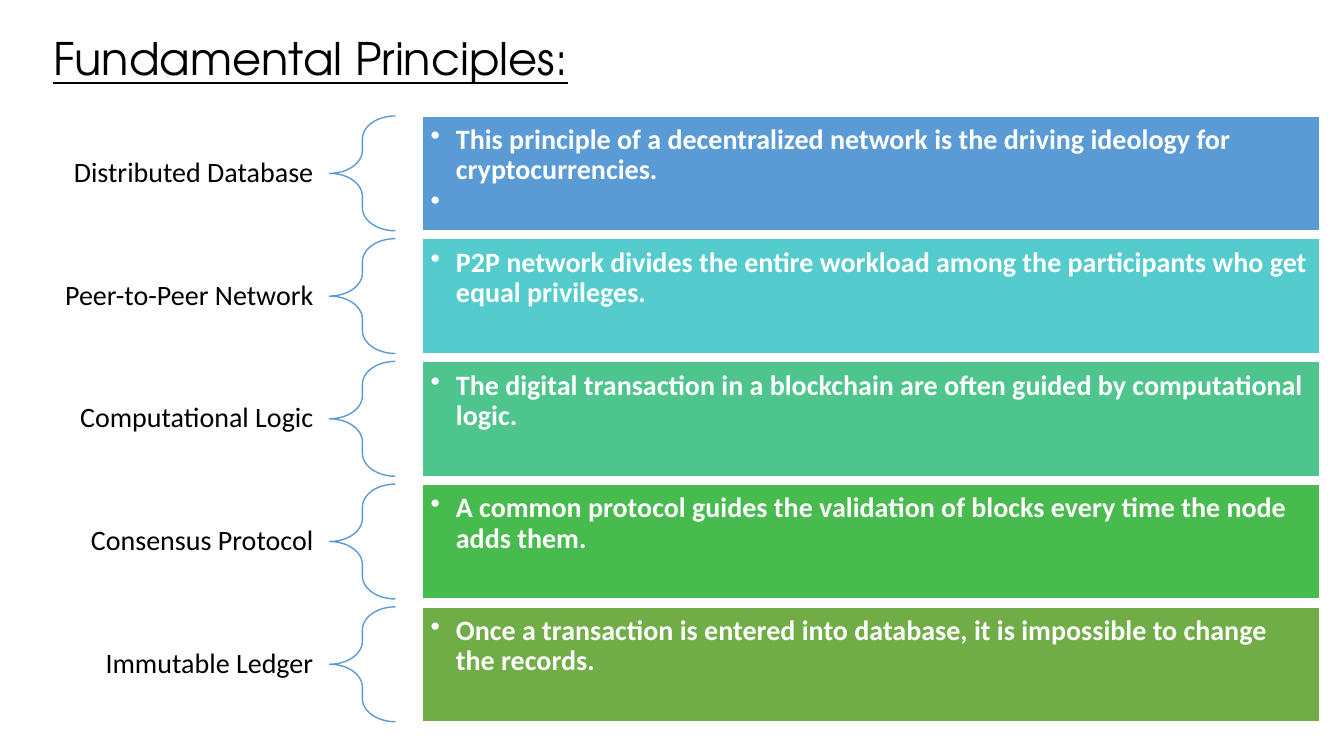
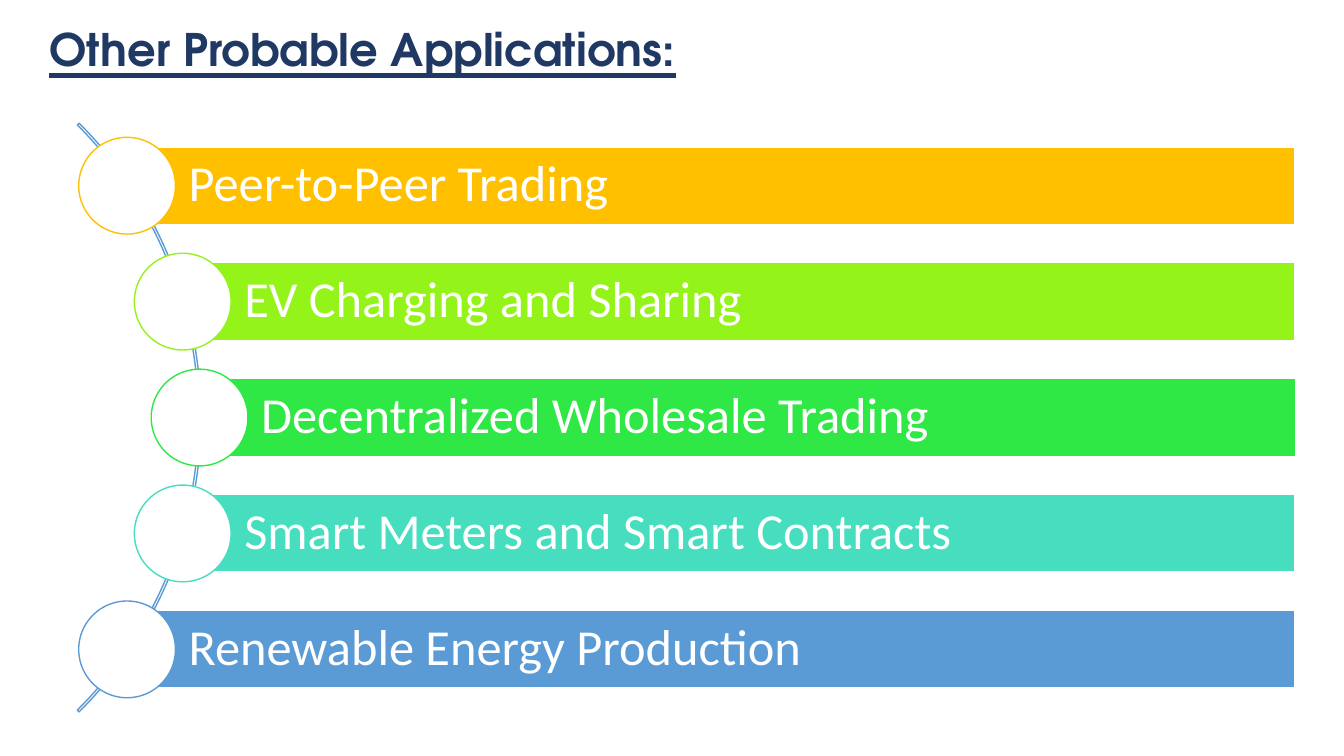
from dataclasses import dataclass
from math import sqrt

from lxml import etree
from pptx import Presentation
from pptx.dml.color import RGBColor
from pptx.enum.shapes import MSO_SHAPE
from pptx.enum.text import MSO_ANCHOR, PP_ALIGN
from pptx.oxml.ns import qn
from pptx.util import Pt

RECTANGLE, OVAL = MSO_SHAPE.RECTANGLE, MSO_SHAPE.OVAL
LEFT_BRACE, BLOCK_ARC = MSO_SHAPE.LEFT_BRACE, MSO_SHAPE.BLOCK_ARC
TOP, MIDDLE = MSO_ANCHOR.TOP, MSO_ANCHOR.MIDDLE
LEFT, RIGHT = PP_ALIGN.LEFT, PP_ALIGN.RIGHT


@dataclass(frozen=True)
class Theme:
    title_font: str = "TeX Gyre Adventor"
    body_font: str = "Calibri"
    title_size: int = 32
    principle_size: int = 20
    application_size: int = 36
    black: str = "000000"
    white: str = "FFFFFF"
    navy: str = "203864"
    blue: str = "5B9BD5"
    line_width: float = 1
    line_spacing: float = 0.9


@dataclass(frozen=True)
class Box:
    left: float
    top: float
    width: float
    height: float

    def lengths(self):
        return [Pt(value) for value in (self.left, self.top, self.width, self.height)]


THEME = Theme()

PRINCIPLES = [
    ("Distributed Database", THEME.blue,
     ["This principle of a decentralized network is the driving ideology for cryptocurrencies.", " "]),
    ("Peer-to-Peer Network", "54CCCD",
     ["P2P network divides the entire workload among the participants who get equal privileges."]),
    ("Computational Logic", "4DC58D",
     ["The digital transaction in a blockchain are often guided by computational logic."]),
    ("Consensus Protocol", "48BB4F",
     ["A common protocol guides the validation of blocks every time the node adds them."]),
    ("Immutable Ledger", "70AD47",
     ["Once a transaction is entered into database, it is impossible to change the records."]),
]

APPLICATIONS = [
    ("Peer-to-Peer Trading", "FFC000"),
    ("EV Charging and Sharing", "94F319"),
    ("Decentralized Wholesale Trading", "30E845"),
    ("Smart Meters and Smart Contracts", "46DEBF"),
    ("Renewable Energy Production", THEME.blue),
]


def set_attributes(target, values):
    for name, value in values.items():
        setattr(target, name, value)


def add_preset(slide, preset, box, fill=None, line=THEME.white, adjustments=()):
    shape = slide.shapes.add_shape(preset, *box.lengths())
    shape.shadow.inherit = False
    if fill:
        shape.fill.solid()
        shape.fill.fore_color.rgb = RGBColor.from_string(fill)
    else:
        shape.fill.background()
    shape.line.color.rgb = RGBColor.from_string(line)
    shape.line.width = Pt(THEME.line_width)
    for index, value in enumerate(adjustments):
        shape.adjustments[index] = value
    return shape


def add_bullet(paragraph):
    properties = paragraph._p.get_or_add_pPr()
    properties.set("marL", str(Pt(18)))
    properties.set("indent", str(Pt(-18)))
    etree.SubElement(properties, qn("a:buChar")).set("char", "•")


def write_text(shape, texts, size, color, insets, font=THEME.body_font, anchor=MIDDLE,
               align=LEFT, spacing=THEME.line_spacing, after=0, bullets=False,
               bold=False, underline=False):
    frame = shape.text_frame
    sides = ("margin_left", "margin_top", "margin_right", "margin_bottom")
    set_attributes(frame, {"word_wrap": True, "vertical_anchor": anchor,
                           **dict(zip(sides, map(Pt, insets)))})
    for index, text in enumerate(texts):
        paragraph = frame.add_paragraph() if index else frame.paragraphs[0]
        if bullets:
            add_bullet(paragraph)
        set_attributes(paragraph, {"alignment": align, "line_spacing": spacing,
                                   "space_after": Pt(after)})
        run = paragraph.add_run()
        run.text = text
        set_attributes(run.font, {"name": font, "size": Pt(size),
                                  "bold": bold and bool(text.strip()),
                                  "underline": underline})
        run.font.color.rgb = RGBColor.from_string(color)


def add_title(slide, box, text, color, bold=False):
    title = slide.shapes.add_textbox(*box.lengths())
    write_text(title, [text], THEME.title_size, color, (7.2, 3.6, 7.2, 3.6),
               font=THEME.title_font, anchor=TOP, spacing=1.0, bold=bold, underline=True)


def add_principles(slide, box, principles):
    """Rows of a label, a brace and a coloured bar."""
    gap, label_width, brace_width, bar_offset = 5.6, 235.4, 47, 301.7
    height = (box.height - gap * (len(principles) - 1)) / len(principles)
    for index, (name, color, points) in enumerate(principles):
        top = box.top + index * (height + gap)

        # Label
        label = slide.shapes.add_textbox(*Box(box.left, top, label_width, height).lengths())
        write_text(label, [name], THEME.principle_size, THEME.black,
                   (11.5, 4, 11.5, 4), align=RIGHT)

        # Brace
        add_preset(slide, LEFT_BRACE, Box(box.left + label_width, top, brace_width, height),
                   line=THEME.blue, adjustments=(0.35, 0.5))

        # Explanation bar
        bar = add_preset(slide, RECTANGLE,
                         Box(box.left + bar_offset, top, box.width - bar_offset, height), color)
        write_text(bar, points, THEME.principle_size, THEME.white, (6, 6.8, 6, 6),
                   anchor=TOP, after=3, bullets=True, bold=True)


def add_applications(slide, box, applications):
    """Bars headed by circles that follow a quarter arc."""
    pitch, bar_height, diameter, orbit = 82.8, 55.4, 69.1, 290.6
    middle = box.top + box.height / 2

    # Arc from corner to corner of the box's left side
    radius = box.height / sqrt(2)
    arc_center = box.left - box.height / 2
    add_preset(slide, BLOCK_ARC,
               Box(arc_center - radius, middle - radius, 2 * radius, 2 * radius),
               line=THEME.blue, adjustments=(189, 27, 0.003))

    # Bars and circles
    for index, (name, color) in enumerate(applications):
        rise = (index - (len(applications) - 1) / 2) * pitch
        center_x = arc_center + radius - 1 - orbit + sqrt(orbit ** 2 - rise ** 2)
        center_y = middle + rise
        bar = add_preset(slide, RECTANGLE,
                         Box(center_x, center_y - bar_height / 2,
                             box.left + box.width - center_x, bar_height), color)
        write_text(bar, [name], THEME.application_size, THEME.white, (44, 7, 7, 7))
        add_preset(slide, OVAL,
                   Box(center_x - diameter / 2, center_y - diameter / 2, diameter, diameter),
                   THEME.white, color)


def main():
    presentation = Presentation()
    set_attributes(presentation, {"slide_width": Pt(960), "slide_height": Pt(540)})
    blank = presentation.slide_layouts[6]

    slide = presentation.slides.add_slide(blank)
    add_principles(slide, Box(0, 82.8, 942.4, 432.7), PRINCIPLES)
    add_title(slide, Box(31, 18.7, 693.4, 46), "Fundamental Principles:", THEME.black)

    slide = presentation.slides.add_slide(blank)
    add_applications(slide, Box(56.5, 88, 868.7, 420.5), APPLICATIONS)
    add_title(slide, Box(28, 12.3, 543.6, 46), "Other Probable Applications:", THEME.navy, bold=True)

    presentation.save("out.pptx")


if __name__ == "__main__":
    main()
